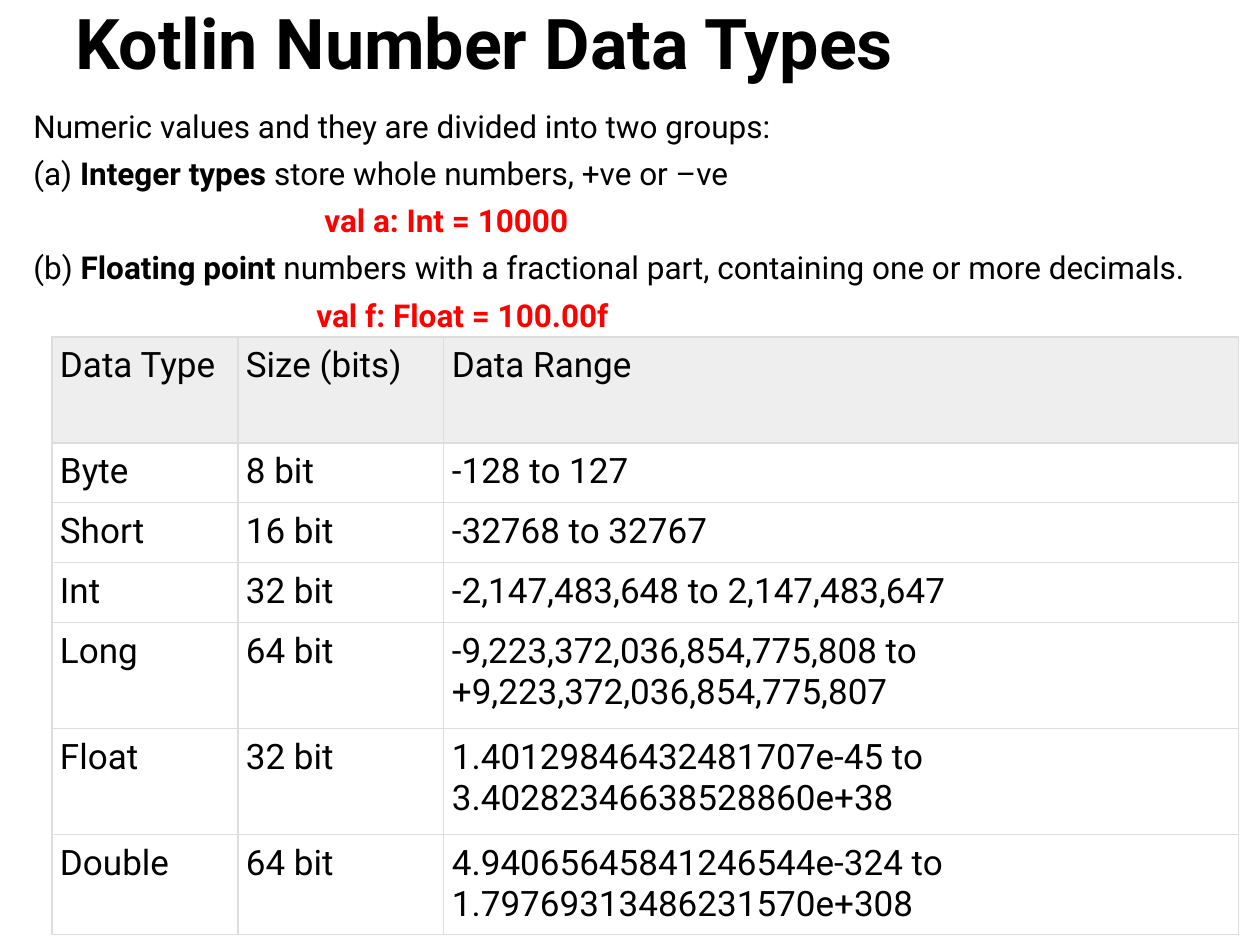
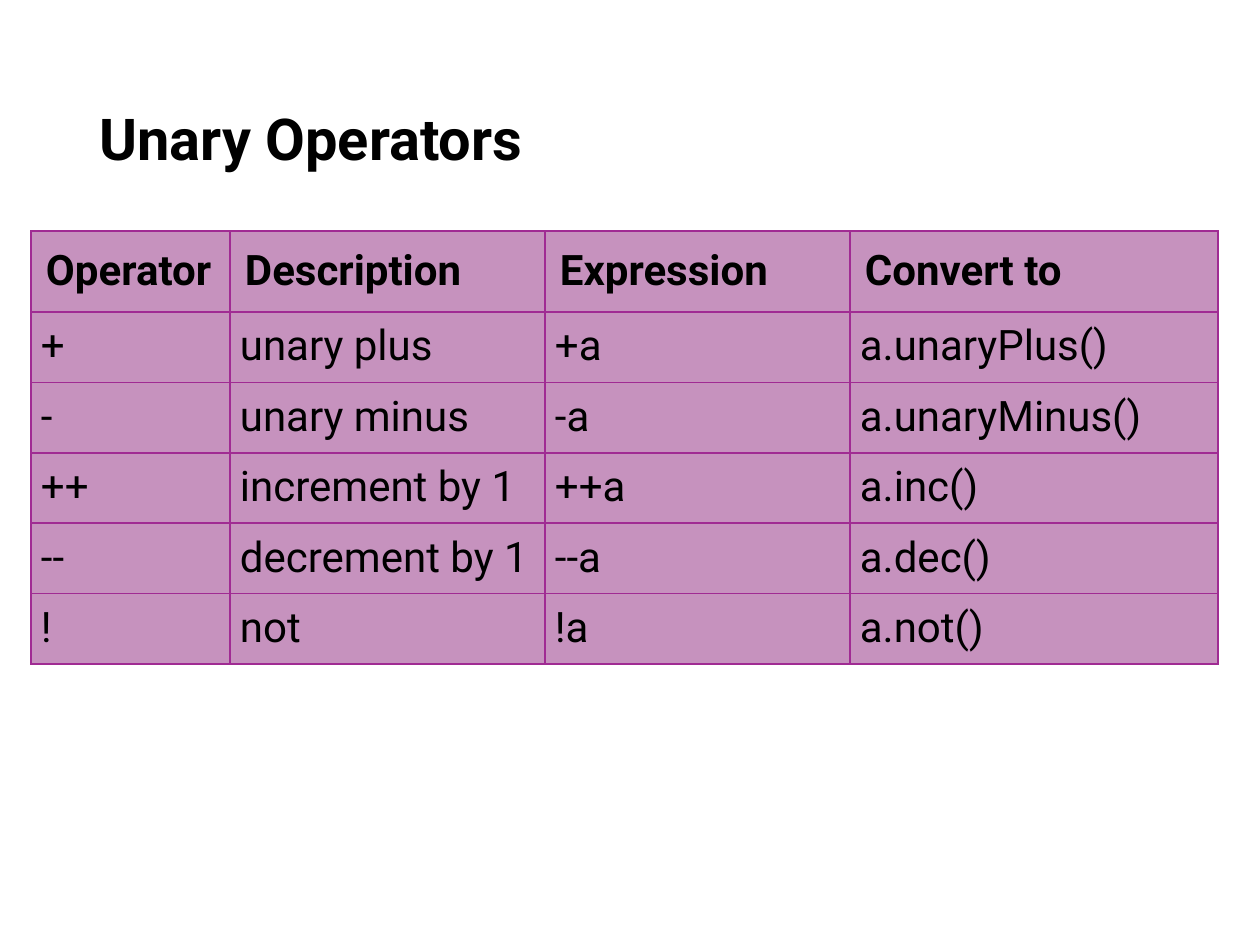
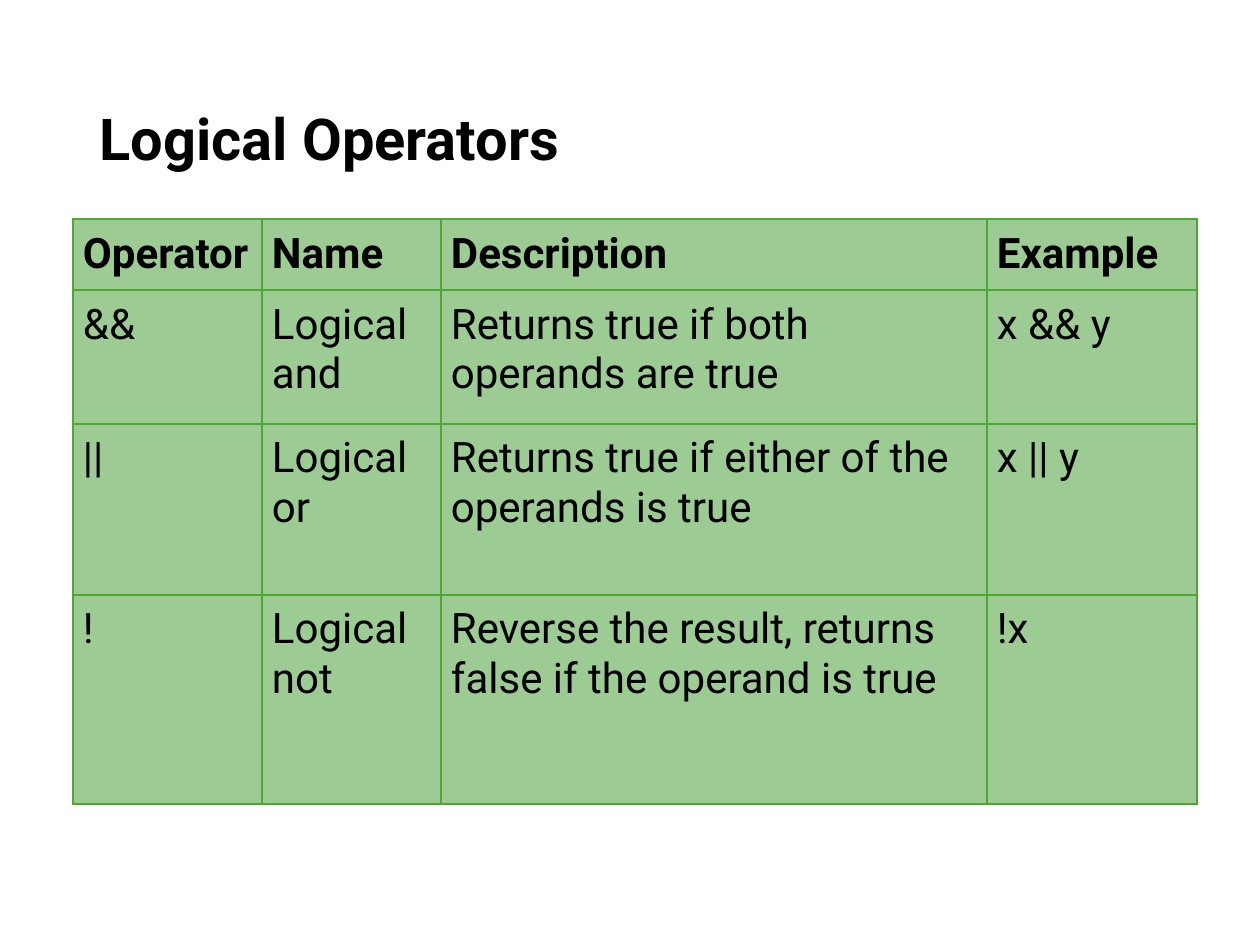
import dataclasses

import lxml.etree
import pptx
import pptx.dml.color
import pptx.enum.text
import pptx.oxml.ns
import pptx.util

EMU_PER_PX = 914400 / 126
JUSTIFY = pptx.enum.text.PP_ALIGN.JUSTIFY
LEFT = pptx.enum.text.PP_ALIGN.LEFT


@dataclasses.dataclass
class Theme:
    font: str = "Roboto"
    ink: str = "000000"
    code: str = "FF0000"
    headline: int = 40
    heading: int = 33
    body: int = 18
    line_spacing: float = 0.9
    space_before: float = 7.5


@dataclasses.dataclass
class TableLook:
    border: str
    border_pt: float
    size: int
    inset: int
    header_inset: int
    header_fill: str
    body_fill: str | None
    header_bold: bool = True
    align: int = LEFT


TYPES_LOOK = TableLook("DDDDDD", 0.75, 20, 8, 8, "EEEEEE", None, header_bold=False)
UNARY_LOOK = TableLook("A02B93", 1, 24, 10, 15, "C692BE", "C692BE", align=JUSTIFY)
LOGICAL_LOOK = TableLook("4EA72E", 1, 24, 10, 10, "9CCB94", "9CCB94")


def px(length):
    return pptx.util.Emu(round(length * EMU_PER_PX))


def rgb(colour):
    return pptx.dml.color.RGBColor.from_string(colour)


class Deck:
    """Builds slides with one theme, placing elements on the current slide."""

    def __init__(self, theme):
        self.theme = theme
        self.deck = pptx.Presentation()
        self.deck.slide_width, self.deck.slide_height = px(1260), px(945)
        self.slide = None

    def new_slide(self):
        self.slide = self.deck.slides.add_slide(self.deck.slide_layouts[6])

    def format_run(self, run, size, bold=False, colour=None):
        run.font.name = self.theme.font
        run.font.size = pptx.util.Pt(size)
        run.font.bold = bold
        run.font.color.rgb = rgb(colour or self.theme.ink)

    def text_frame(self, box):
        frame = self.slide.shapes.add_textbox(*map(px, box)).text_frame
        frame.word_wrap = True
        return frame

    def title(self, text, box, size):
        frame = self.text_frame(box)
        frame.vertical_anchor = pptx.enum.text.MSO_ANCHOR.MIDDLE
        frame.text = text
        heading = frame.paragraphs[0]
        heading.line_spacing = self.theme.line_spacing
        self.format_run(heading.runs[0], size, bold=True)

    def body(self, lines, box):
        frame = self.text_frame(box)
        for index, (indent, colour, parts) in enumerate(lines):
            line = frame.add_paragraph() if index else frame.paragraphs[0]
            line.alignment = JUSTIFY
            line.line_spacing = self.theme.line_spacing
            line.space_before = pptx.util.Pt(self.theme.space_before)
            line._p.get_or_add_pPr().set("marL", str(px(indent)))
            for text, bold in parts:
                run = line.add_run()
                run.text = text
                self.format_run(run, self.theme.body, bold, colour)

    def borders(self, cell, look):
        properties = cell._tc.get_or_add_tcPr()
        qn = pptx.oxml.ns.qn
        for side in ("a:lnL", "a:lnR", "a:lnT", "a:lnB"):
            edge = lxml.etree.SubElement(
                properties, qn(side), w=str(pptx.util.Pt(look.border_pt)))
            fill = lxml.etree.SubElement(edge, qn("a:solidFill"))
            lxml.etree.SubElement(fill, qn("a:srgbClr"), val=look.border)

    def cell(self, cell, text, look, is_header):
        inset = px(look.header_inset if is_header else look.inset)
        cell.margin_left = cell.margin_right = inset
        cell.margin_top = cell.margin_bottom = inset
        self.borders(cell, look)
        fill = look.header_fill if is_header else look.body_fill
        if fill:
            cell.fill.solid()
            cell.fill.fore_color.rgb = rgb(fill)
        else:
            cell.fill.background()
        cell.text_frame.text = text
        paragraph = cell.text_frame.paragraphs[0]
        paragraph.alignment = LEFT if is_header else look.align
        self.format_run(paragraph.runs[0], look.size, is_header and look.header_bold)

    def table(self, rows, origin, widths, heights, look):
        table = self.slide.shapes.add_table(
            len(rows), len(widths), *map(px, (*origin, sum(widths), sum(heights)))).table
        table.first_row = table.horz_banding = False
        for column, width in zip(table.columns, widths):
            column.width = px(width)
        for row, height in zip(table.rows, heights):
            row.height = px(height)
        for row_index, texts in enumerate(rows):
            for column_index, text in enumerate(texts):
                self.cell(table.cell(row_index, column_index), text, look, row_index == 0)

    def save(self):
        self.deck.save("out.pptx")


NUMBER_GROUPS = [
    (0, None, [("Numeric values and they are divided into two groups:", False)]),
    (0, None, [("(a) ", False), ("Integer types", True),
               (" store whole numbers, +ve or –ve", False)]),
    (291, Theme.code, [("val a: Int = 10000", True)]),
    (0, None, [("(b) ", False), ("Floating point", True),
               (" numbers with a fractional part, containing one or more decimals.", False)]),
    (283, Theme.code, [("val f: Float = 100.00f", True)]),
]
NUMBER_TYPES = [
    ("Data Type", "Size (bits)", "Data Range"),
    ("Byte", "8 bit", "-128 to 127"),
    ("Short", "16 bit", "-32768 to 32767"),
    ("Int", "32 bit", "-2,147,483,648 to 2,147,483,647"),
    ("Long", "64 bit", "-9,223,372,036,854,775,808 to +9,223,372,036,854,775,807"),
    ("Float", "32 bit", "1.40129846432481707e-45 to 3.40282346638528860e+38"),
    ("Double", "64 bit", "4.94065645841246544e-324 to 1.79769313486231570e+308"),
]
UNARY_OPERATORS = [
    ("Operator", "Description", "Expression", "Convert to"),
    ("+", "unary plus", "+a", "a.unaryPlus()"),
    ("-", "unary minus", "-a", "a.unaryMinus()"),
    ("++", "increment by 1", "++a", "a.inc()"),
    ("--", "decrement by 1", "--a", "a.dec()"),
    ("!", "not", "!a", "a.not()"),
]
LOGICAL_OPERATORS = [
    ("Operator", "Name", "Description", "Example"),
    ("&&", "Logical and", "Returns true if both operands are true", "x && y"),
    ("||", "Logical or", "Returns true if either of the operands is true", "x || y"),
    ("!", "Logical not", "Reverse the result, returns false if the operand is true", "!x"),
]
OPERATOR_SLIDES = [
    ("Unary Operators", UNARY_OPERATORS, (31, 231), (199, 315, 305, 368),
     (81, *[70] * 5), UNARY_LOOK),
    ("Logical Operators", LOGICAL_OPERATORS, (73, 219), (189, 179, 546, 210),
     (71, 134, 171, 209), LOGICAL_LOOK),
]


def main():
    theme = Theme()
    deck = Deck(theme)

    deck.new_slide()
    deck.title("Kotlin Number Data Types", (63, -32, 1134, 158), theme.headline)
    deck.body(NUMBER_GROUPS, (21, 105, 1207, 262))
    deck.table(NUMBER_TYPES, (52, 337), (186, 206, 795),
               (106, 60, 60, 60, 106, 106, 98), TYPES_LOOK)

    for heading, operators, origin, widths, heights, look in OPERATOR_SLIDES:
        deck.new_slide()
        deck.title(heading, (87, 50, 1086, 183), theme.heading)
        deck.table(operators, origin, widths, heights, look)

    deck.save()


if __name__ == "__main__":
    main()
